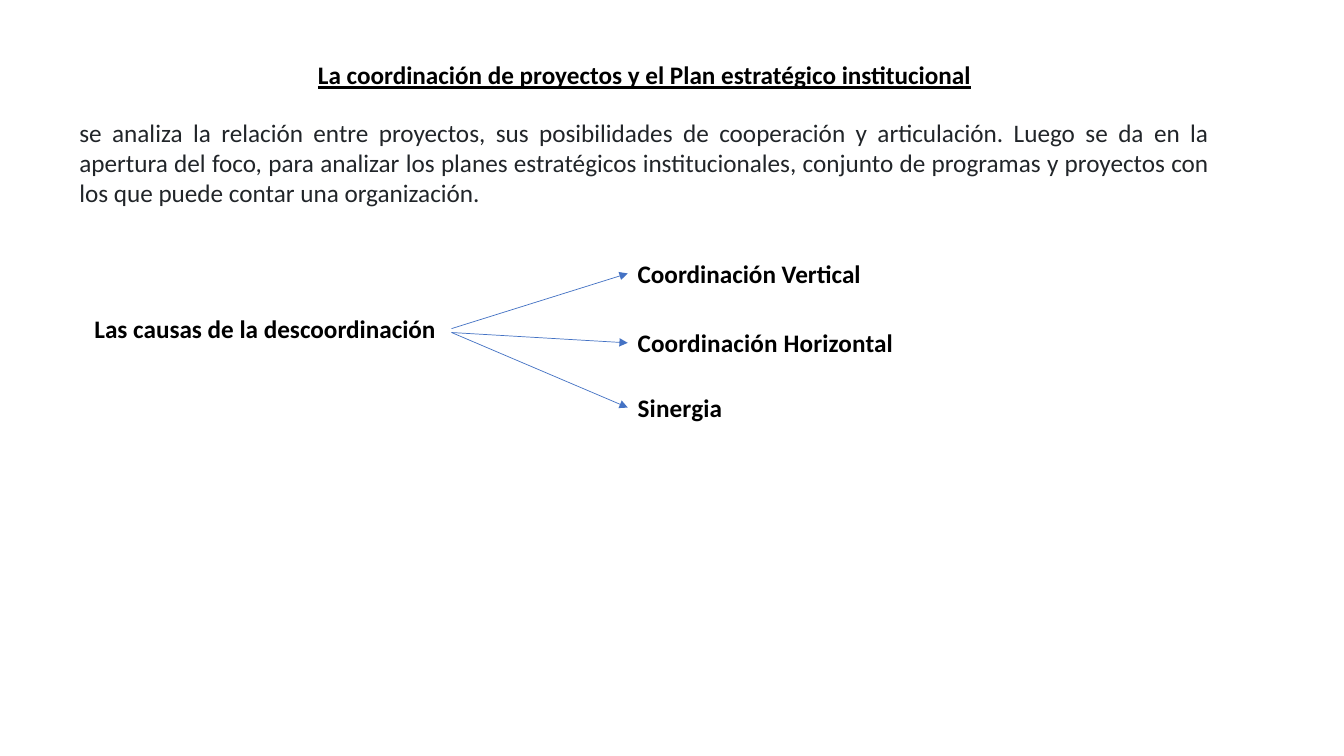
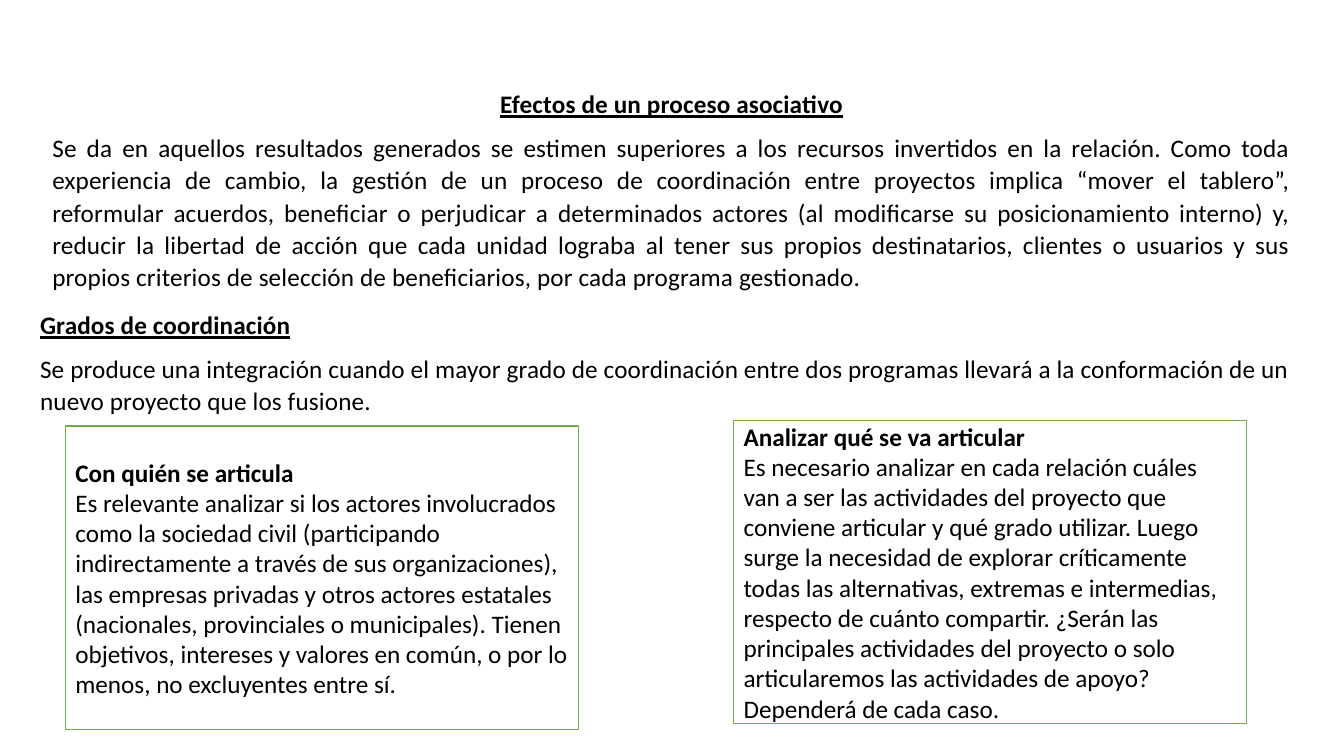
from pptx import Presentation
from pptx.dml.color import RGBColor
from pptx.enum.shapes import MSO_CONNECTOR, MSO_SHAPE
from pptx.enum.text import MSO_ANCHOR, PP_ALIGN
from pptx.oxml.ns import qn
from pptx.util import Cm, Pt
from lxml.etree import SubElement

BLACK, GREY, WHITE = "000000", "212529", "FFFFFF"
BLUE, GREEN = "4472C4", "70AD47"
FONT, SIZE = "Calibri", 18
TITLE = {"bold": True, "underline": True, "lines": 1.07, "after": 8}
BODY = {"lines": 1.07, "after": 8}


def color(code):
    return RGBColor.from_string(code)


def write(frame, text, first=True, bold=False, underline=False, ink=BLACK,
          align=PP_ALIGN.LEFT, lines=1, before=0, after=0, track=0):
    para = frame.paragraphs[0] if first else frame.add_paragraph()
    para.alignment, para.line_spacing = align, lines
    para.space_before, para.space_after = Pt(before), Pt(after)
    run = para.add_run()
    run.text = text
    font = run.font
    font.name, font.size, font.bold, font.underline = FONT, Pt(SIZE), bold, underline
    font.color.rgb = color(ink)
    if track:
        run._r.get_or_add_rPr().set("spc", str(track))


def add_box(slide, box, wrap=True):
    frame = slide.shapes.add_textbox(*map(Cm, box)).text_frame
    frame.word_wrap = wrap
    return frame


def add_label(slide, box, text, **style):
    write(add_box(slide, box, wrap=False), text, bold=True, **style)


def add_section(slide, box, title, body, head=PP_ALIGN.LEFT, align=PP_ALIGN.LEFT):
    frame = add_box(slide, box)
    write(frame, title, align=head, track=10, **TITLE)
    write(frame, body, first=False, align=align, track=10, **BODY)


def add_panel(slide, box, title, body):
    panel = slide.shapes.add_shape(MSO_SHAPE.RECTANGLE, *map(Cm, box))
    panel.shadow.inherit = False
    panel.fill.solid()
    panel.fill.fore_color.rgb = color(WHITE)
    panel.line.color.rgb = color(GREEN)
    panel.line.width = Pt(1)
    frame = panel.text_frame
    frame.word_wrap, frame.vertical_anchor = True, MSO_ANCHOR.MIDDLE
    write(frame, title, bold=True)
    write(frame, body, first=False)


def add_arrow(slide, start, end):
    arrow = slide.shapes.add_connector(MSO_CONNECTOR.STRAIGHT, *map(Cm, start + end))
    arrow.line.color.rgb = color(BLUE)
    arrow.line.width = Pt(0.5)
    SubElement(arrow.line._get_or_add_ln(), qn("a:tailEnd"), type="triangle")
    SubElement(arrow._element.spPr, qn("a:effectLst"))


def add_branches(slide, box, cause, items):
    left, top, width, height = box
    row, gap = 1.02, 0.08
    mid = top + 1.9
    add_label(slide, (left, mid - row / 2, width, row), cause)
    tip = left + 13.69
    for text, drop, size, track in items:
        end = top + drop + row / 2
        start = mid if end < mid else mid + 0.1
        add_arrow(slide, (left + width + gap, start), (tip, end))
        add_label(slide, (tip, top + drop, size, row), text, track=track)


def plan_slide(slide):
    write(add_box(slide, (1.75, 2.82, 28.98, 3.35)),
          "se analiza la relación entre proyectos, sus posibilidades de cooperación y "
          "articulación. Luego se da en la apertura del foco, para analizar los planes "
          "estratégicos institucionales, conjunto de programas y proyectos con los que "
          "puede contar una organización.",
          ink=GREY, align=PP_ALIGN.JUSTIFY, before=2)
    write(add_box(slide, (7.7, 1.32, 17.09, 1.04), wrap=False),
          "La coordinación de proyectos y el Plan estratégico institucional",
          align=PP_ALIGN.CENTER, **TITLE)
    add_branches(slide, (2.13, 6.38, 9.17, 4.4), "Las causas de la descoordinación", [
        ("Coordinación Vertical", 0, 6.17, 0),
        ("Coordinación Horizontal", 1.75, 7.04, 10),
        ("Sinergia", 3.38, 2.67, 10),
    ])


def effects_slide(slide):
    add_section(slide, (1.07, 2.06, 31.72, 5.44), "Efectos de un proceso asociativo",
                "Se da en aquellos resultados generados se estimen superiores a los "
                "recursos invertidos en la relación. Como toda experiencia de cambio, la "
                "gestión de un proceso de coordinación entre proyectos implica “mover el "
                "tablero”, reformular acuerdos, beneficiar o perjudicar a determinados "
                "actores (al modificarse su posicionamiento interno) y, reducir la "
                "libertad de acción que cada unidad lograba al tener sus propios "
                "destinatarios, clientes o usuarios y sus propios criterios de selección "
                "de beneficiarios, por cada programa gestionado.",
                head=PP_ALIGN.CENTER, align=PP_ALIGN.JUSTIFY)
    add_section(slide, (0.76, 7.62, 32.03, 2.97), "Grados de coordinación",
                "Se produce una integración cuando el mayor grado de coordinación entre "
                "dos programas llevará a la conformación de un nuevo proyecto que los "
                "fusione.")
    size = (12.93, 7.65)
    add_panel(slide, (1.65, 10.74) + size, "Con quién se articula",
              "Es relevante analizar si los actores involucrados como la sociedad civil "
              "(participando indirectamente a través de sus organizaciones), las empresas "
              "privadas y otros actores estatales (nacionales, provinciales o "
              "municipales). Tienen objetivos, intereses y valores en común, o por lo "
              "menos, no excluyentes entre sí.")
    add_panel(slide, (18.49, 10.59) + size, "Analizar qué se va articular",
              "Es necesario analizar en cada relación\u00a0cuáles van a ser las "
              "actividades del proyecto que conviene articular y qué grado utilizar. "
              "Luego surge la necesidad de explorar críticamente todas las alternativas, "
              "extremas e intermedias, respecto de cuánto compartir. ¿Serán las "
              "principales actividades del proyecto o solo articularemos las actividades "
              "de apoyo? Dependerá de cada caso.")


deck = Presentation()
deck.slide_width, deck.slide_height = Cm(33.87), Cm(19.05)
for build in (plan_slide, effects_slide):
    build(deck.slides.add_slide(deck.slide_layouts[6]))
deck.save("out.pptx")
